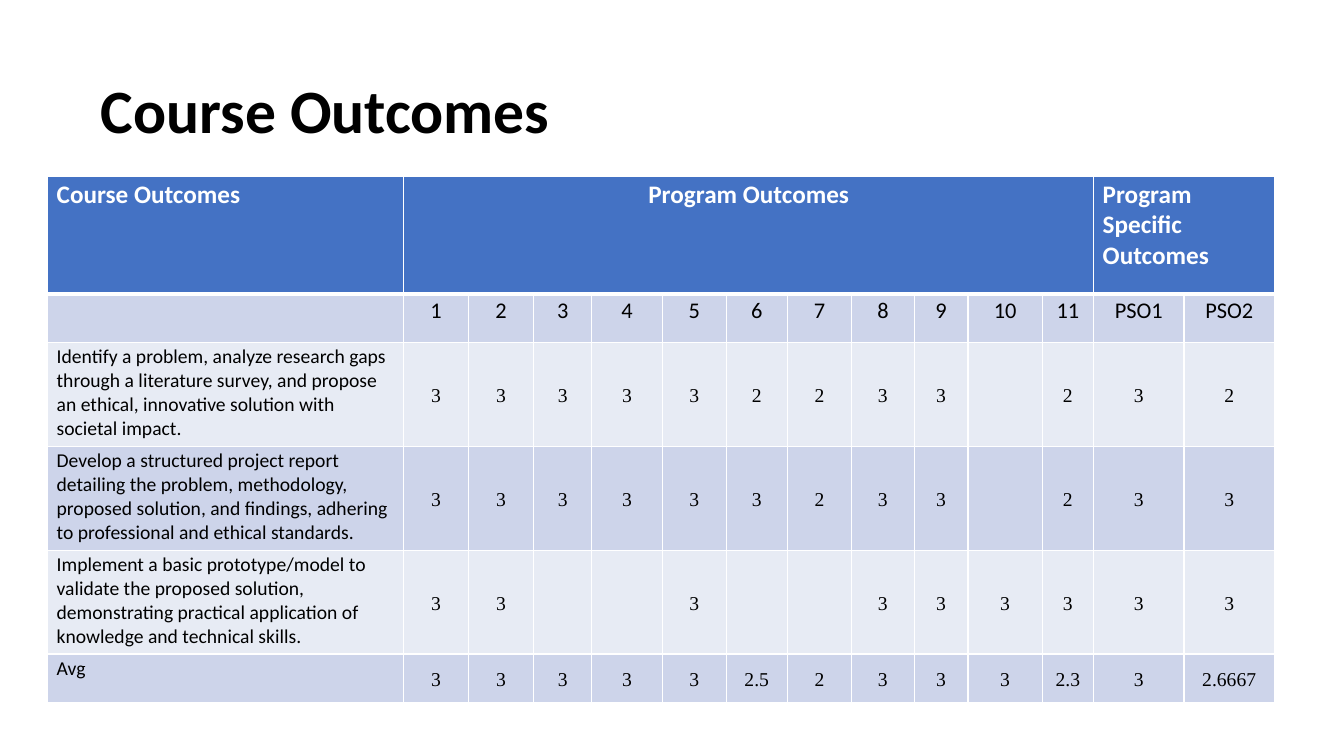
from lxml import etree
from pptx import Presentation
from pptx.dml.color import RGBColor
from pptx.enum.text import MSO_ANCHOR, PP_ALIGN
from pptx.oxml.ns import qn
from pptx.util import Pt

LEFT, CENTER = PP_ALIGN.LEFT, PP_ALIGN.CENTER
TOP, MIDDLE = MSO_ANCHOR.TOP, MSO_ANCHOR.MIDDLE
BLACK, WHITE = "000000", "FFFFFF"
HEADER_FILL, BAND_FILLS = "4472C4", ("E7EBF4", "CDD4EA")
SANS, SERIF = "Calibri", "Times New Roman"

COLUMN_WIDTHS = [254.5, 46, 46.8, 41.5, 50.3, 45.7, 43.6, 46, 44.7,
                 38.5, 52.9, 36.8, 64.6, 64.6]
ROW_HEIGHTS = [84.2, 34.4, 74.2, 74.2, 74.2, 34.4]
LAST_PROGRAM_COLUMN = 11

HEADINGS = {0: "Course Outcomes", 1: "Program Outcomes",
            12: "Program Specific Outcomes"}
OUTCOME_LABELS = [""] + [str(n) for n in range(1, 12)] + ["PSO1", "PSO2"]
RATINGS = [
    ["Identify a problem, analyze research gaps through a literature survey, "
     "and propose an ethical, innovative solution with societal impact.",
     "3", "3", "3", "3", "3", "2", "2", "3", "3", "", "2", "3", "2"],
    ["Develop a structured project report detailing the problem, methodology, "
     "proposed solution, and findings, adhering to professional and ethical "
     "standards.",
     "3", "3", "3", "3", "3", "3", "2", "3", "3", "", "2", "3", "3"],
    ["Implement a basic prototype/model to validate the proposed solution, "
     "demonstrating practical application of knowledge and technical skills.",
     "3", "3", "", "", "3", "", "", "3", "3", "3", "3", "3", "3"],
    ["Avg", "3", "3", "3", "3", "3", "2.5", "2", "3", "3", "3", "2.3", "3",
     "2.6667"],
]


def color(value):
    return RGBColor.from_string(value)


def write(frame, text, size, ink=BLACK, font=SANS, bold=False, align=LEFT):
    para = frame.paragraphs[0]
    para.text = text
    para.alignment = align
    para.font.size = Pt(size)
    para.font.name = font
    para.font.bold = bold
    para.font.color.rgb = color(ink)


def add_title(page, text):
    box = page.shapes.add_textbox(Pt(72), Pt(50.4), Pt(816), Pt(54.7))
    frame = box.text_frame
    frame.word_wrap = True
    frame.margin_left = frame.margin_right = frame.margin_bottom = 0
    frame.margin_top = Pt(1)
    write(frame, text, 44, bold=True)


def add_borders(cell, top=1, bottom=1):
    properties = cell._tc.get_or_add_tcPr()
    sides = {"a:lnL": 1, "a:lnR": 1, "a:lnT": top, "a:lnB": bottom}
    for position, (tag, width) in enumerate(sides.items()):
        line = etree.Element(qn(tag), w=str(Pt(width)))
        fill = etree.SubElement(line, qn("a:solidFill"))
        etree.SubElement(fill, qn("a:srgbClr"), val=WHITE)
        properties.insert(position, line)


def style_cell(cell, row, column):
    cell.fill.solid()
    cell.fill.fore_color.rgb = color(
        BAND_FILLS[row % 2] if row else HEADER_FILL)
    if row == len(ROW_HEIGHTS) - 1:
        cell.fill.fore_color.rgb = color(BAND_FILLS[1])
    add_borders(cell, top=3 if row == 1 else 1, bottom=1 if row else 3)
    cell.margin_top = Pt(2)
    cell.margin_bottom = 0
    left_aligned = column == 0 or (row == 0 and column > LAST_PROGRAM_COLUMN)
    cell.margin_left = Pt(6.5 if left_aligned else 0)
    cell.margin_right = Pt(6 if left_aligned else 0)
    cell.vertical_anchor = MIDDLE if row > 1 and column else TOP


def add_outcomes_table(page):
    rows, columns = len(ROW_HEIGHTS), len(COLUMN_WIDTHS)
    table = page.shapes.add_table(
        rows, columns, Pt(34), Pt(126),
        Pt(sum(COLUMN_WIDTHS)), Pt(sum(ROW_HEIGHTS))).table
    table.first_row = table.horz_banding = False
    for column, width in zip(table.columns, COLUMN_WIDTHS):
        column.width = Pt(width)
    for row, height in zip(table.rows, ROW_HEIGHTS):
        row.height = Pt(height)
    for row in range(rows):
        for column in range(columns):
            style_cell(table.cell(row, column), row, column)

    for first, last in ((1, LAST_PROGRAM_COLUMN),
                        (LAST_PROGRAM_COLUMN + 1, columns - 1)):
        table.cell(0, first).merge(table.cell(0, last))
    for column, heading in HEADINGS.items():
        write(table.cell(0, column).text_frame, heading, 18, WHITE, bold=True,
              align=CENTER if column == 1 else LEFT)
    for column, label in enumerate(OUTCOME_LABELS):
        write(table.cell(1, column).text_frame, label, 16, align=CENTER)
    for row, values in enumerate(RATINGS, start=2):
        for column, value in enumerate(values):
            write(table.cell(row, column).text_frame, value, 14,
                  font=SERIF if column else SANS,
                  align=CENTER if column else LEFT)


def main():
    deck = Presentation()
    deck.slide_width, deck.slide_height = Pt(960), Pt(540)
    page = deck.slides.add_slide(deck.slide_layouts[6])
    add_title(page, "Course Outcomes")
    add_outcomes_table(page)
    deck.save("out.pptx")


if __name__ == "__main__":
    main()
